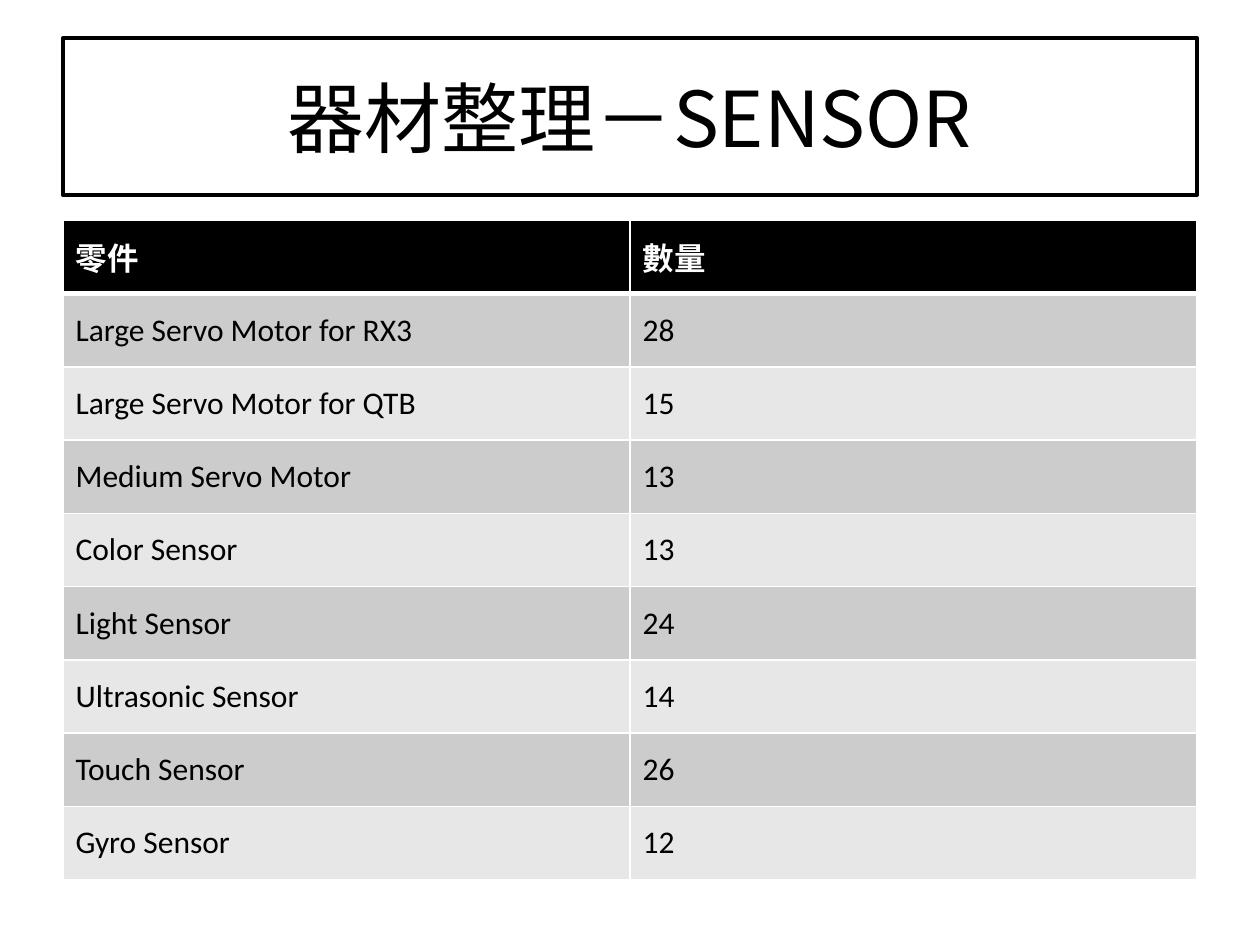
from lxml import etree
from pptx import Presentation
from pptx.dml.color import RGBColor
from pptx.enum.shapes import MSO_SHAPE
from pptx.enum.text import MSO_ANCHOR, PP_ALIGN
from pptx.oxml.ns import qn
from pptx.util import Pt

RECTANGLE = MSO_SHAPE.RECTANGLE
MIDDLE = MSO_ANCHOR.MIDDLE
CENTER = PP_ALIGN.CENTER

BLACK = RGBColor(0x00, 0x00, 0x00)
WHITE = RGBColor(0xFF, 0xFF, 0xFF)
DARK_BAND = RGBColor(0xCC, 0xCC, 0xCC)
LIGHT_BAND = RGBColor(0xE7, 0xE7, 0xE7)

TITLE_FONT = "Noto Sans CJK SC"
LEFT, WIDTH = 36, 648
ROW_HEIGHT = 41.85

ROWS = [
    ("零件", "數量"),
    ("Large Servo Motor for RX3", "28"),
    ("Large Servo Motor for QTB", "15"),
    ("Medium Servo Motor", "13"),
    ("Color Sensor", "13"),
    ("Light Sensor", "24"),
    ("Ultrasonic Sensor", "14"),
    ("Touch Sensor", "26"),
    ("Gyro Sensor", "12"),
]


def format_font(font, color, **values):
    font.color.rgb = color
    for name, value in values.items():
        setattr(font, name, value)


def add_borders(cell, widths):
    """Draw white cell borders; call before the fill, which must follow them."""
    properties = cell._tc.get_or_add_tcPr()
    for side, width in widths.items():
        line = etree.SubElement(properties, qn(f"a:ln{side}"), w=str(Pt(width)))
        fill = etree.SubElement(line, qn("a:solidFill"))
        etree.SubElement(fill, qn("a:srgbClr"), val=str(WHITE))


presentation = Presentation()
presentation.slide_width = Pt(720)
presentation.slide_height = Pt(540)
slide = presentation.slides.add_slide(presentation.slide_layouts[6])

# Title box
title = slide.shapes.add_shape(RECTANGLE, Pt(LEFT), Pt(21.6), Pt(WIDTH), Pt(90))
title.shadow.inherit = False
title.fill.solid()
title.fill.fore_color.rgb = WHITE
title.line.color.rgb = BLACK
title.line.width = Pt(2)
title.text_frame.word_wrap = True
title.text_frame.vertical_anchor = MIDDLE
paragraph = title.text_frame.paragraphs[0]
paragraph.alignment = CENTER
run = paragraph.add_run()
run.text = "器材整理－SENSOR"
format_font(run.font, BLACK, name=TITLE_FONT, size=Pt(44))
etree.SubElement(run.font._element, qn("a:ea"), typeface=TITLE_FONT)

# Parts table
table = slide.shapes.add_table(
    len(ROWS), 2, Pt(LEFT), Pt(126), Pt(WIDTH), Pt(ROW_HEIGHT * len(ROWS))
).table
for column in table.columns:
    column.width = Pt(WIDTH / 2)

for row_index, texts in enumerate(ROWS):
    table.rows[row_index].height = Pt(ROW_HEIGHT)
    is_header = row_index == 0
    if is_header:
        fill_color = BLACK
    else:
        fill_color = DARK_BAND if row_index % 2 else LIGHT_BAND
    borders = {"L": 1, "R": 1, "T": 3 if row_index == 1 else 1, "B": 3 if is_header else 1}
    for column_index, text in enumerate(texts):
        cell = table.cell(row_index, column_index)
        add_borders(cell, borders)
        cell.fill.solid()
        cell.fill.fore_color.rgb = fill_color
        cell.vertical_anchor = MIDDLE
        run = cell.text_frame.paragraphs[0].add_run()
        run.text = text
        format_font(run.font, WHITE if is_header else BLACK,
                    name="Calibri", size=Pt(18), bold=is_header)

presentation.save("out.pptx")
